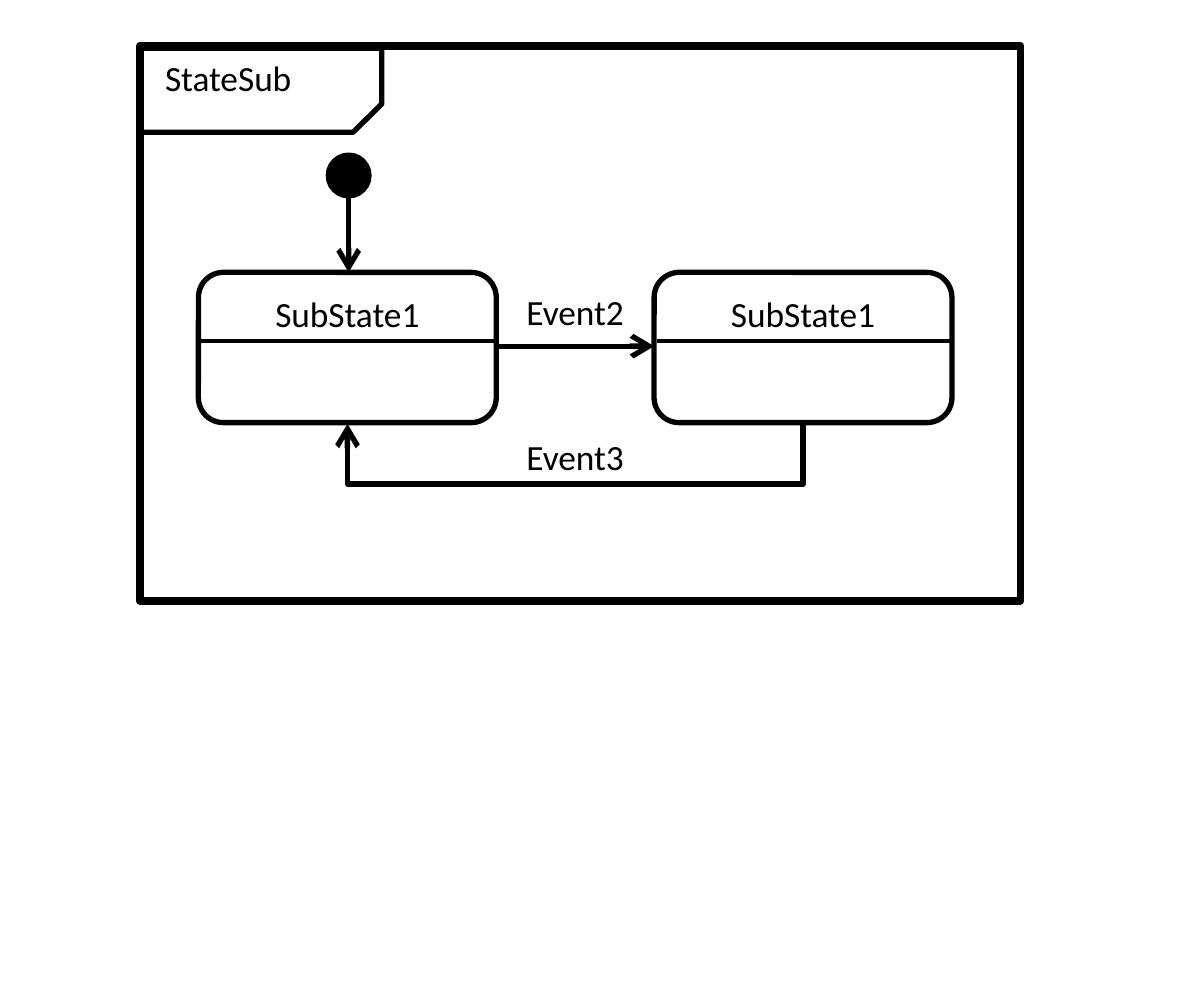
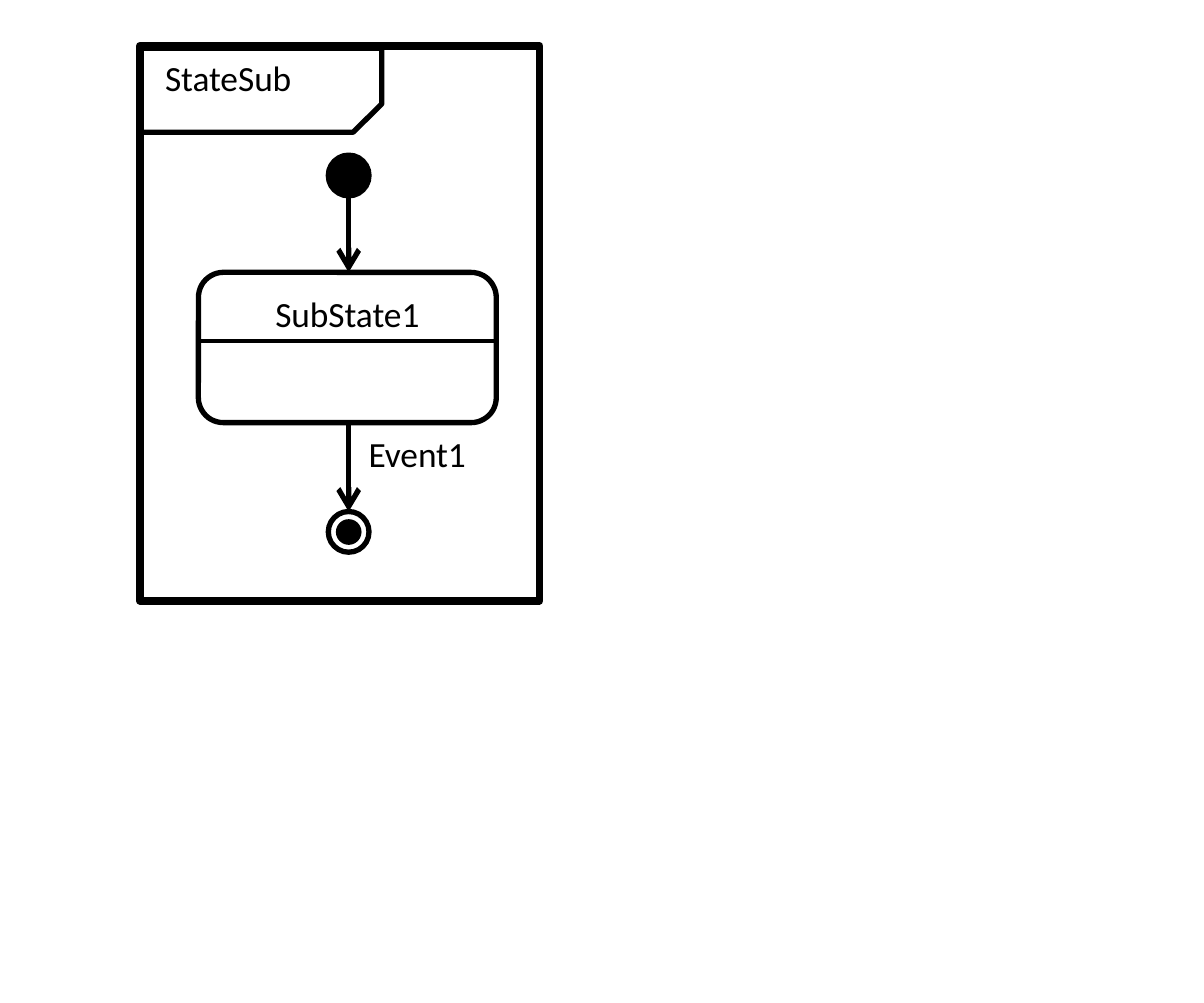
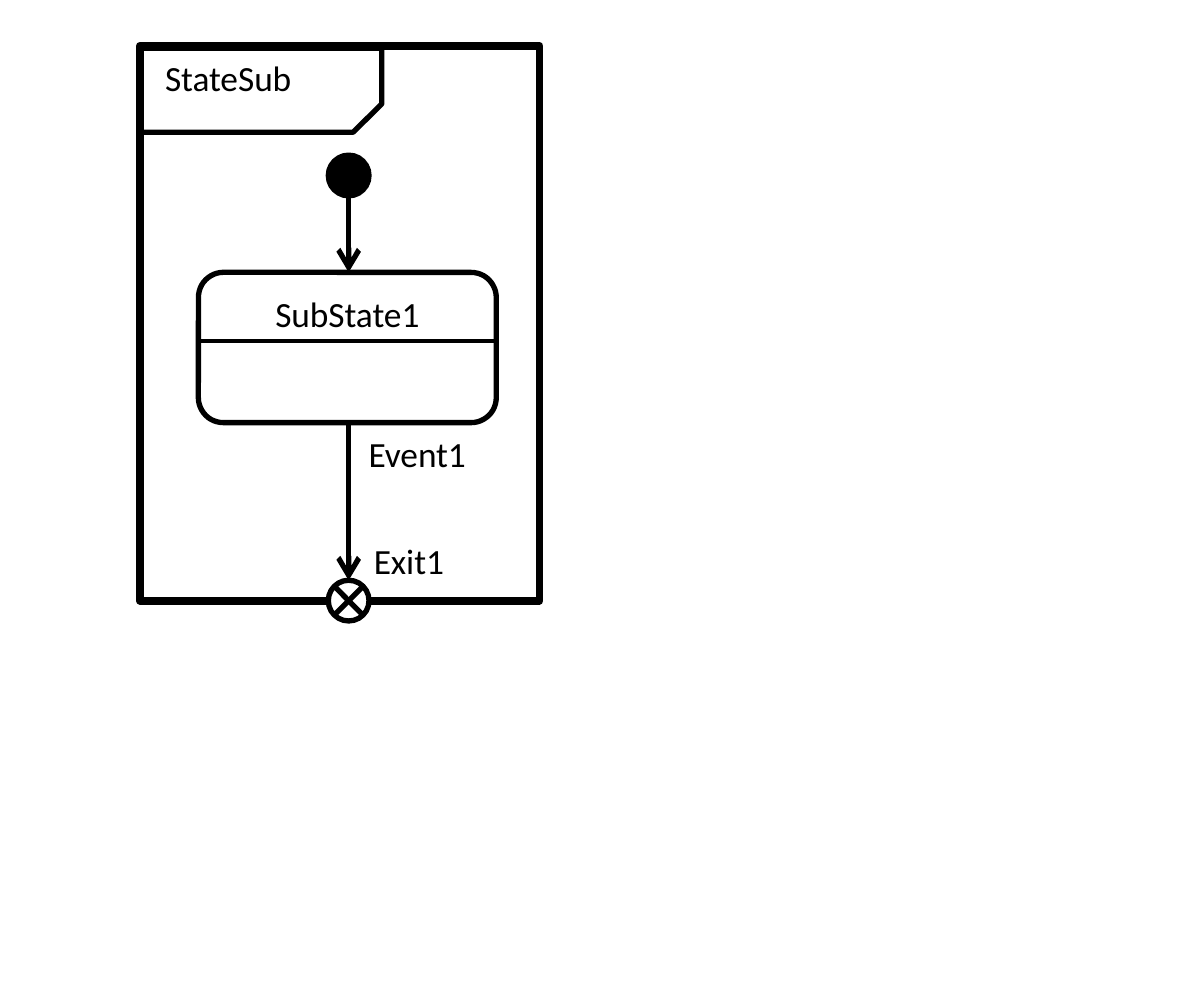
from lxml import etree
from pptx import Presentation
from pptx import util as u
from pptx.dml.color import RGBColor
from pptx.enum import shapes as kinds, text
from pptx.oxml import ns

COLORS = {"ink": "000000", "paper": "FFFFFF"}
FONT = {"name": "Calibri", "size": u.Pt(10)}
FRAME_LEFT, FRAME_TOP, FRAME_HEIGHT = 0.55, 0.18, 2.18
WIDE, NARROW = 3.46, 1.57
STATE_WIDTH, STATE_HEIGHT, STATE_TOP = 1.17, 0.59, 1.07
FIRST_LEFT, SECOND_LEFT = 0.78, 2.57
NAME_HEIGHT = 0.27
DOT = 0.16
AXIS = 1.37
STATE_BOTTOM = STATE_TOP + STATE_HEIGHT


# Shared drawing helpers
def ink(name):
    return RGBColor.from_string(COLORS[name])


def style_line(line, weight):
    line.color.rgb = ink("ink")
    line.width = u.Pt(weight)


def write(shape, words, align):
    frame = shape.text_frame
    frame.word_wrap = True
    frame.vertical_anchor = text.MSO_ANCHOR.TOP
    paragraph = frame.paragraphs[0]
    paragraph.alignment = align
    run = paragraph.add_run()
    run.text = words
    for name, value in FONT.items():
        setattr(run.font, name, value)
    run.font.color.rgb = ink("ink")


def add_outline(shapes, kind, box, weight=1.5, fill=None):
    shape = shapes.add_shape(kind, *map(u.Inches, box))
    shape.shadow.inherit = False
    if fill:
        shape.fill.solid()
        shape.fill.fore_color.rgb = ink(fill)
    else:
        shape.fill.background()
    style_line(shape.line, weight)
    return shape


def add_label(shapes, words, left, top, width=0.73):
    label = shapes.add_textbox(*map(u.Inches, (left, top, width, NAME_HEIGHT)))
    write(label, words, text.PP_ALIGN.LEFT)
    label.text_frame.auto_size = text.MSO_AUTO_SIZE.SHAPE_TO_FIT_TEXT


def add_line(shapes, start, end, weight=1.5, arrow=False,
             kind=kinds.MSO_CONNECTOR.STRAIGHT):
    connector = shapes.add_connector(kind, *map(u.Inches, (*start, *end)))
    style_line(connector.line, weight)
    if arrow:
        outline = connector.line._get_or_add_ln()
        etree.SubElement(outline, ns.qn("a:tailEnd"), type="arrow")
    etree.SubElement(connector._element.spPr, ns.qn("a:effectLst"))
    return connector


def add_dot(shapes, center_x, center_y, size=DOT, fill="ink"):
    box = (center_x - size / 2, center_y - size / 2, size, size)
    return add_outline(shapes, kinds.MSO_SHAPE.FLOWCHART_CONNECTOR, box, fill=fill)


# Frame with its name tab
def add_frame(shapes, left, top, width, name):
    add_outline(shapes, kinds.MSO_SHAPE.RECTANGLE,
                (left, top, width, FRAME_HEIGHT), weight=2.25)
    tab = add_outline(shapes, kinds.MSO_SHAPE.SNIP_1_RECTANGLE,
                      (left, top + 0.01, 0.95, 0.33))
    tab.adjustments[0] = 0.34
    tab._element.spPr.find(ns.qn("a:xfrm")).set("flipV", "1")
    add_label(shapes, name, left, top - 0.01, 0.95)


# State with a name compartment
def add_state(shapes, left, top, name):
    state = add_outline(shapes, kinds.MSO_SHAPE.ROUNDED_RECTANGLE,
                        (left, top, STATE_WIDTH, STATE_HEIGHT))
    write(state, name, text.PP_ALIGN.CENTER)
    divider = top + NAME_HEIGHT
    add_line(shapes, (left + 0.01, divider), (left + STATE_WIDTH, divider), weight=1)
    return state


# Start dot and its arrow to the state below
def add_start(shapes, center_x, state_top):
    dot_bottom = state_top - 0.3
    add_line(shapes, (center_x, dot_bottom), (center_x, state_top), arrow=True)
    add_dot(shapes, center_x, dot_bottom - DOT / 2)


# Return path below two states
def add_return(shapes, source, target, depth):
    connector = add_line(shapes, (0, 0), (1, 1), arrow=True,
                         kind=kinds.MSO_CONNECTOR.ELBOW)
    connector.begin_connect(source, 2)
    connector.end_connect(target, 2)
    # A thin box turned a quarter makes both ends leave downwards
    span, thin = source.left - target.left, u.Inches(0.01)
    middle = target.left + (target.width + span) // 2
    bottom = source.top + source.height
    geometry = {"left": middle - thin // 2, "top": bottom - span // 2,
                "width": thin, "height": span}
    for name, value in geometry.items():
        setattr(connector, name, value)
    properties = connector._element.spPr
    transform = properties.find(ns.qn("a:xfrm"))
    for flip in ("flipH", "flipV"):
        transform.attrib.pop(flip, None)
    transform.set("rot", str(90 * 60000))
    values = properties.find(ns.qn("a:prstGeom")).find(ns.qn("a:avLst"))
    ratio = round(u.Inches(depth) / thin * 100000)
    etree.SubElement(values, ns.qn("a:gd"), name="adj1", fmla=f"val {ratio}")


# Final state: a dot within a ring
def add_final(shapes, center_x, center_y):
    group = shapes.add_group_shape().shapes
    add_dot(group, center_x, center_y, fill="paper")
    add_dot(group, center_x, center_y, size=DOT / 2)


# Exit point: a crossed circle
def add_exit(shapes, center_x, center_y):
    group = shapes.add_group_shape().shapes
    add_dot(group, center_x, center_y, fill="paper")
    reach = 0.055
    for rise in (-reach, reach):
        add_line(group, (center_x - reach, center_y + rise),
                 (center_x + reach, center_y - rise))


# Part common to all slides
def start_diagram(presentation, width):
    shapes = presentation.slides.add_slide(presentation.slide_layouts[6]).shapes
    add_frame(shapes, FRAME_LEFT, FRAME_TOP, width, "StateSub")
    state = add_state(shapes, FIRST_LEFT, STATE_TOP, "SubState1")
    add_start(shapes, AXIS, STATE_TOP)
    return shapes, state


def build_loop_slide(presentation):
    shapes, first = start_diagram(presentation, WIDE)
    second = add_state(shapes, SECOND_LEFT, STATE_TOP, "SubState1")
    add_line(shapes, (FIRST_LEFT + STATE_WIDTH, 1.36), (SECOND_LEFT, 1.36), arrow=True)
    add_return(shapes, second, first, 0.25)
    for words, top in (("Event2", 1.09), ("Event3", STATE_BOTTOM)):
        add_label(shapes, words, 1.97, top)


def build_end_slide(presentation, add_end, center_y):
    shapes, _ = start_diagram(presentation, NARROW)
    add_line(shapes, (AXIS, STATE_BOTTOM), (AXIS, center_y - DOT / 2), arrow=True)
    add_label(shapes, "Event1", 1.35, 1.65)
    add_end(shapes, AXIS, center_y)
    return shapes


def main():
    presentation = Presentation()
    presentation.slide_width = u.Inches(4.73)
    presentation.slide_height = u.Inches(3.94)
    build_loop_slide(presentation)
    build_end_slide(presentation, add_final, 2.09)
    exit_shapes = build_end_slide(presentation, add_exit, FRAME_TOP + FRAME_HEIGHT)
    add_label(exit_shapes, "Exit1", AXIS, 2.07, 0.55)
    presentation.save("out.pptx")


if __name__ == "__main__":
    main()
